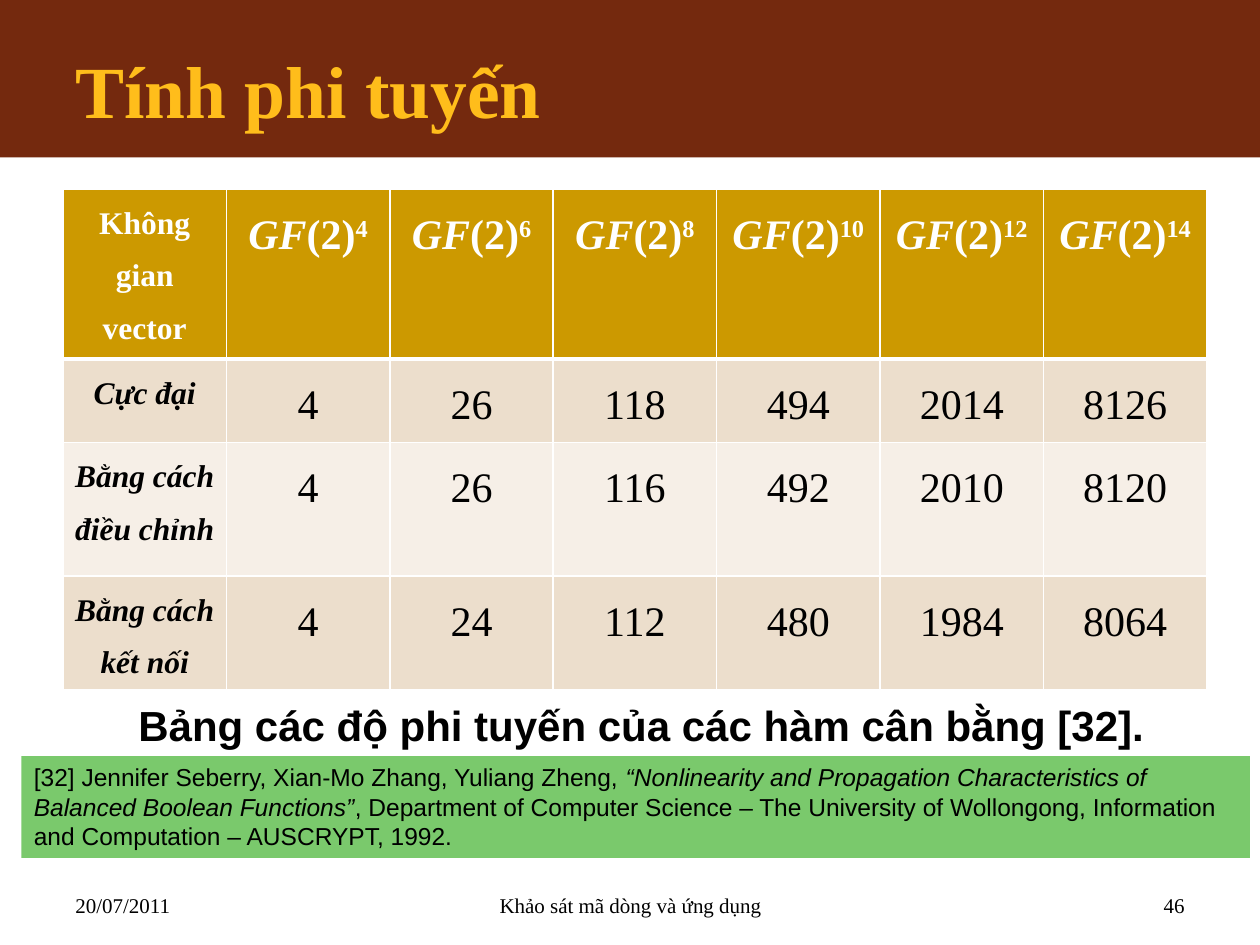
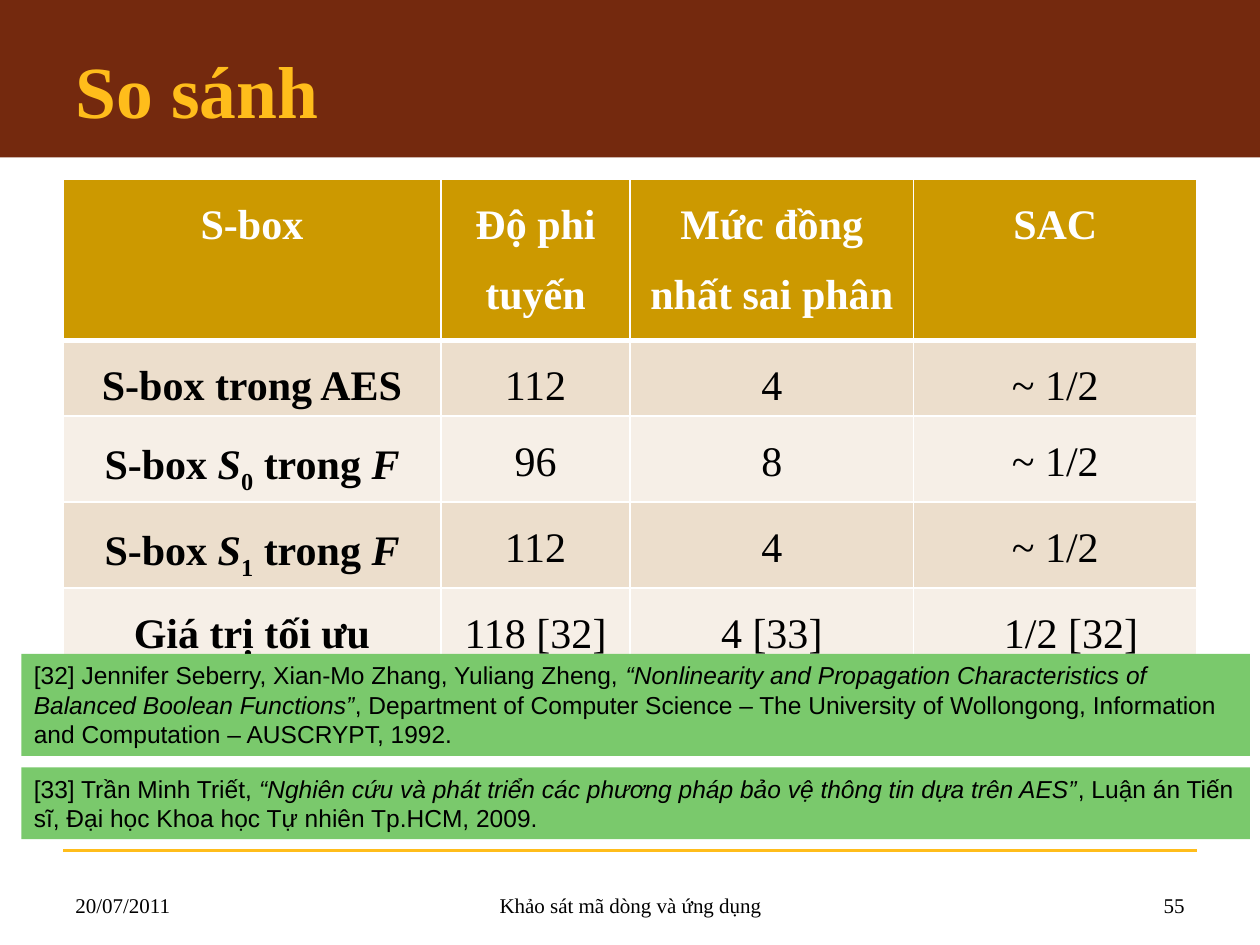
from lxml import etree
from pptx import Presentation
from pptx.dml.color import RGBColor
from pptx.enum import shapes, text
from pptx.oxml import ns
from pptx.util import Inches, Pt

COLORS = {
    "band": "74290E",
    "gold": "FFBD1B",
    "header": "CC9900",
    "row_odd": "ECDECC",
    "row_even": "F6EFE7",
    "reference": "7AC96C",
    "white": "FFFFFF",
    "black": "000000",
}
SERIF, SANS = "Times New Roman", "Arial"
ALIGN, ANCHOR = text.PP_ALIGN, text.MSO_ANCHOR

ITALIC = {"italic": True}
SUPER = {"baseline": 30}
SUB = {"baseline": -25}

DATE = "20/07/2011"
TALK = "Khảo sát mã dòng và ứng dụng"
SEBERRY = [
    "[32] Jennifer Seberry, Xian-Mo Zhang, Yuliang Zheng, ",
    ("“Nonlinearity and Propagation Characteristics of Balanced Boolean Functions”", ITALIC),
    ", Department of Computer Science – The University of Wollongong, "
    "Information and Computation – AUSCRYPT, 1992.",
]
TRIET = [
    "[33] Trần Minh Triết, ",
    ("“Nghiên cứu và phát triển các phương pháp bảo vệ thông tin dựa trên AES”", ITALIC),
    ", Luận án Tiến sĩ, Đại học Khoa học Tự nhiên Tp.HCM, 2009.",
]


def color(name):
    return RGBColor.from_string(COLORS[name])


def write(frame, content, size, font=SERIF, ink="black", align=ALIGN.LEFT, **style):
    """Fill the first paragraph with a string, or a list of strings and (string, style) pairs."""
    paragraph = frame.paragraphs[0]
    paragraph.alignment = align
    for part in [content] if isinstance(content, str) else content:
        words, extra = (part, {}) if isinstance(part, str) else part
        run = paragraph.add_run()
        run.text = words
        run.font.color.rgb = color(ink)
        values = {"name": font, "size": Pt(size), **style, **extra}
        baseline = values.pop("baseline", 0)
        for name, value in values.items():
            setattr(run.font, name, value)
        if baseline:
            run._r.get_or_add_rPr().set("baseline", str(baseline * 1000))
    return paragraph


def add_text(slide, box, content, size, anchor=ANCHOR.TOP, **style):
    frame = slide.shapes.add_textbox(*map(Inches, box)).text_frame
    frame.word_wrap = True
    frame.vertical_anchor = anchor
    write(frame, content, size, **style)


def add_block(slide, box, fill):
    shape = slide.shapes.add_shape(shapes.MSO_SHAPE.RECTANGLE, *map(Inches, box))
    shape.shadow.inherit = False
    shape.fill.solid()
    shape.fill.fore_color.rgb = color(fill)
    shape.line.fill.background()
    return shape


def add_title(slide, title):
    add_block(slide, (0, 0, 10, 1.25), "band")
    add_text(slide, (0.5, 0.23, 9, 0.95), title, 42, ANCHOR.MIDDLE, ink="gold", bold=True)


def add_footer(slide, number):
    for left, width, words, align in (
        (0.5, 2.33, DATE, ALIGN.LEFT),
        (3.42, 3.17, TALK, ALIGN.CENTER),
        (7.17, 2.33, str(number), ALIGN.RIGHT),
    ):
        add_text(slide, (left, 6.83, width, 0.5), words, 12, ANCHOR.BOTTOM, align=align)


def add_footer_rule(slide):
    rule = slide.shapes.add_connector(
        shapes.MSO_CONNECTOR.STRAIGHT, *map(Inches, (0.5, 6.75, 9.5, 6.75)))
    rule.line.color.rgb = color("gold")
    rule.line.width = Pt(1.5)
    etree.SubElement(rule._element.spPr, ns.qn("a:effectLst"))


def add_reference(slide, top, height, citation):
    frame = add_block(slide, (0.17, top, 9.75, height), "reference").text_frame
    frame.word_wrap = True
    frame.vertical_anchor = ANCHOR.TOP
    write(frame, citation, 14, SANS)


def set_borders(cell, **widths):
    """Draw white borders; widths in points by side: L, R, T, B."""
    properties = cell._tc.get_or_add_tcPr()
    for side in "LRTB":
        line = etree.SubElement(properties, ns.qn(f"a:ln{side}"), w=str(Pt(widths.get(side, 1))))
        fill = etree.SubElement(line, ns.qn("a:solidFill"))
        etree.SubElement(fill, ns.qn("a:srgbClr"), val=COLORS["white"])


def add_data_table(slide, left, top, columns, heights, rows, label_style, corner_size=24):
    """Add a banded table whose first column holds labels in label_style."""
    table = slide.shapes.add_table(
        len(rows), len(columns), *map(Inches, (left, top, sum(columns), sum(heights)))).table
    for column, width in zip(table.columns, columns):
        column.width = Inches(width)
    for row, height in zip(table.rows, heights):
        row.height = Inches(height)
    for r, row in enumerate(rows):
        for c, content in enumerate(row):
            cell = table.cell(r, c)
            cell.margin_left = cell.margin_right = Inches(0.07)
            cell.margin_top = cell.margin_bottom = 0
            if r == 0:
                fill, borders = "header", {"B": 3}
                style = {"size": 24 if c else corner_size, "ink": "white", "bold": True}
            else:
                fill = "row_odd" if r % 2 else "row_even"
                borders = {"T": 3} if r == 1 else {}
                style = {"size": 24, "bold": False} if c else label_style
            set_borders(cell, **borders)
            cell.fill.solid()
            cell.fill.fore_color.rgb = color(fill)
            paragraph = write(cell.text_frame, content, align=ALIGN.CENTER, **style)
            paragraph.line_spacing = 1.5
    return table


def build_nonlinearity(slide):
    add_title(slide, "Tính phi tuyến")
    spaces = [[("GF", ITALIC), "(2)", (str(n), SUPER)] for n in range(4, 15, 2)]
    rows = [
        ["Không gian vector", *spaces],
        ["Cực đại", "4", "26", "118", "494", "2014", "8126"],
        ["Bằng cách điều chỉnh", "4", "26", "116", "492", "2010", "8120"],
        ["Bằng cách kết nối", "4", "24", "112", "480", "1984", "8064"],
    ]
    add_data_table(slide, 0.5, 1.5, [9.08 / 7] * 7, [1.06, 0.66, 1.06, 0.68], rows,
                   {"size": 18, "bold": True, "italic": True}, corner_size=18)
    add_footer(slide, 46)
    add_text(slide, (1, 5.5, 8.42, 0.5), "Bảng các độ phi tuyến của các hàm cân bằng [32].",
             24, font=SANS, bold=True)
    add_reference(slide, 6, 0.81, SEBERRY)


def build_comparison(slide):
    add_footer_rule(slide)
    add_title(slide, "So sánh")
    s0, s1 = (["S-box ", ("S", ITALIC), (n, SUB), " trong ", ("F", ITALIC)] for n in "01")
    rows = [
        ["S-box", "Độ phi tuyến", "Mức đồng nhất sai phân", "SAC"],
        ["S-box trong AES", "112", "4", "~ 1/2"],
        [s0, "96", "8", "~ 1/2"],
        [s1, "112", "4", "~ 1/2"],
        ["Giá trị tối ưu", "118 [32]", "4 [33]", "1/2 [32]"],
    ]
    table = add_data_table(slide, 0.5, 1.42, [3, 1.5, 2.25, 2.25], [1.28] + [0.6] * 4, rows,
                           {"size": 24, "bold": True})
    table.cell(4, 3).margin_left = Inches(0.32)
    add_footer(slide, 55)
    add_reference(slide, 5.19, 0.81, SEBERRY)
    add_reference(slide, 6.09, 0.57, TRIET)


def main():
    presentation = Presentation()
    presentation.slide_width, presentation.slide_height = Inches(10), Inches(7.5)
    for build in (build_nonlinearity, build_comparison):
        build(presentation.slides.add_slide(presentation.slide_layouts[6]))
    presentation.save("out.pptx")


if __name__ == "__main__":
    main()
